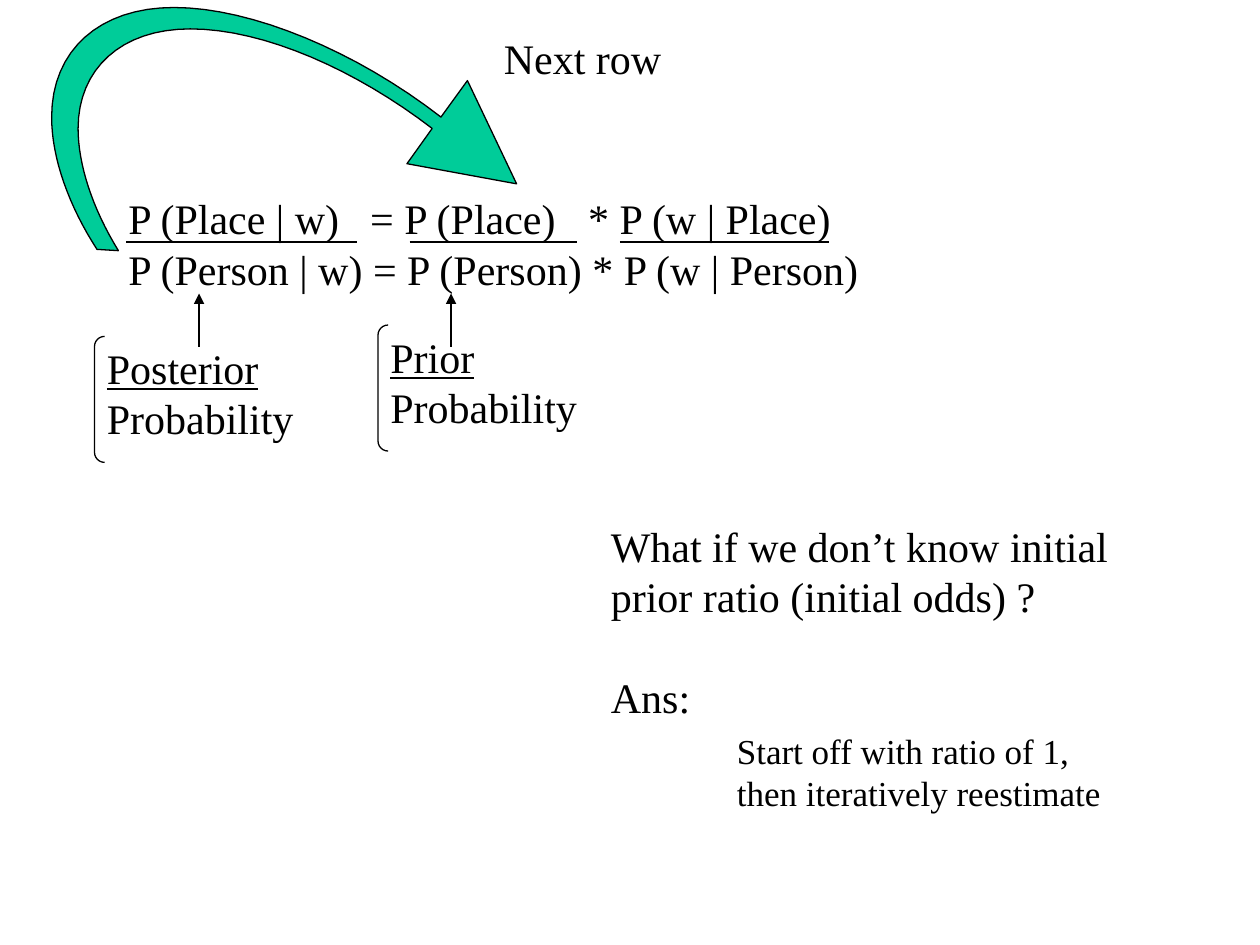
from lxml import etree
from pptx import Presentation
from pptx.dml.color import RGBColor
from pptx.enum.shapes import MSO_CONNECTOR as Conn, MSO_SHAPE as Shape
from pptx.oxml.ns import qn
from pptx.util import Inches, Pt

BLACK = RGBColor(0x00, 0x00, 0x00)
GREEN = RGBColor(0x00, 0xCC, 0x99)
FONT = "Times New Roman"

deck = Presentation()
deck.slide_width, deck.slide_height = Inches(10), Inches(7.5)
slide = deck.slides.add_slide(deck.slide_layouts[6])
shapes = slide.shapes


def add_text(left, top, width, height, lines, wrap=True):
    box = shapes.add_textbox(Inches(left), Inches(top), Inches(width), Inches(height))
    frame = box.text_frame
    frame.word_wrap = wrap
    frame.text = "\n".join(lines)
    for para in frame.paragraphs:
        for run in para.runs:
            run.font.name, run.font.size = FONT, Pt(24)
            run.font.color.rgb = BLACK
    return frame.paragraphs


def add_line(x1, y1, x2, y2):
    line = shapes.add_connector(Conn.STRAIGHT, Inches(x1), Inches(y1), Inches(x2), Inches(y2))
    line.line.color.rgb, line.line.width = BLACK, Pt(0.75)
    etree.SubElement(line._element.spPr, qn("a:effectLst"))
    return line


# Ratio equation: tab stops align the operators of the upper row
rows = add_text(0.92, 1.48, 8.77, 0.9, [
    "P (Place | w)\t= P (Place)\t* P (w | Place)",
    "P (Person | w) = P (Person) * P (w | Person)",
])
tabs = etree.SubElement(rows[0]._p.get_or_add_pPr(), qn("a:tabLst"))
for stop in (1.92, 3.65):
    etree.SubElement(tabs, qn("a:tab"), pos=str(Inches(stop)), algn="l")

# Fraction bars
for start, end in ((1, 2.83), (3.25, 4.58), (4.92, 6.58)):
    add_line(start, 1.92, end, 1.92)

# Bracketed labels, each with an arrow up to its term
for word, left, top, tip in (("Posterior", 0.75, 2.67, 1.58), ("Prior", 3, 2.58, 3.58)):
    label = add_text(left, top, 1.83, 0.9, [word, "Probability"])
    label[0].runs[0].font.underline = True
    brace = shapes.add_shape(Shape.LEFT_BRACKET, Inches(left), Inches(top), Inches(0.08), Inches(1))
    brace.adjustments[0] = 1
    brace.shadow.inherit = False
    brace.fill.background()
    brace.line.color.rgb, brace.line.width = BLACK, Pt(0.75)
    arrow = add_line(tip, 2.75, tip, 2.33)
    stroke = arrow._element.spPr.find(qn("a:ln"))
    etree.SubElement(stroke, qn("a:tailEnd"), type="triangle")

# Curved arrow: Bezier sides sampled as points, then the head
outer = [(0.77, 1.98), (0.55, 1.64), (0.41, 1.26), (0.41, 0.93), (0.41, 0.4),
         (0.79, 0.06), (1.38, 0.06), (2, 0.06), (2.83, 0.41), (3.5, 0.93)]
inner = [(3.43, 1.02), (2.83, 0.56), (2.1, 0.23), (1.51, 0.23), (0.96, 0.23),
         (0.62, 0.55), (0.62, 1.02), (0.62, 1.3), (0.73, 1.65), (0.94, 1.99)]
head = [(3.71, 0.64), (4.1, 1.46), (3.23, 1.3)]
steps = 16
sides = []
for curve in (outer, inner):
    side = [curve[0]]
    for i in range(0, len(curve) - 1, 3):
        for n in range(1, steps + 1):
            t = n / steps
            mix = ((1 - t) ** 3, 3 * t * (1 - t) ** 2, 3 * t * t * (1 - t), t ** 3)
            side.append(tuple(sum(m * pt[axis] for m, pt in zip(mix, curve[i:i + 4]))
                              for axis in (0, 1)))
    sides.append(side)
edge = [(Inches(x), Inches(y)) for x, y in sides[0] + head + sides[1]]
form = shapes.build_freeform(*edge[0])
form.add_line_segments(edge[1:], close=True)
swoop = form.convert_to_shape()
swoop.shadow.inherit = False
swoop.fill.solid()
swoop.fill.fore_color.rgb = GREEN
swoop.line.color.rgb, swoop.line.width = BLACK, Pt(0.75)

# Question and indented answer
paras = add_text(4.75, 4.08, 4.33, 2.44, [
    "What if we don’t know initial prior ratio (initial odds) ?",
    "Ans:",
    "Start off with ratio of 1,",
    "then iteratively reestimate",
])
paras[1].space_before = Pt(29)
paras[2].space_before = Pt(4)
for para in paras[2:]:
    para._p.get_or_add_pPr().set("marL", str(Inches(1)))
    para.runs[0].font.size = Pt(20)

# Arrow caption
add_text(3.9, 0.21, 1.45, 0.5, ["Next row"], wrap=False)

deck.save("out.pptx")
